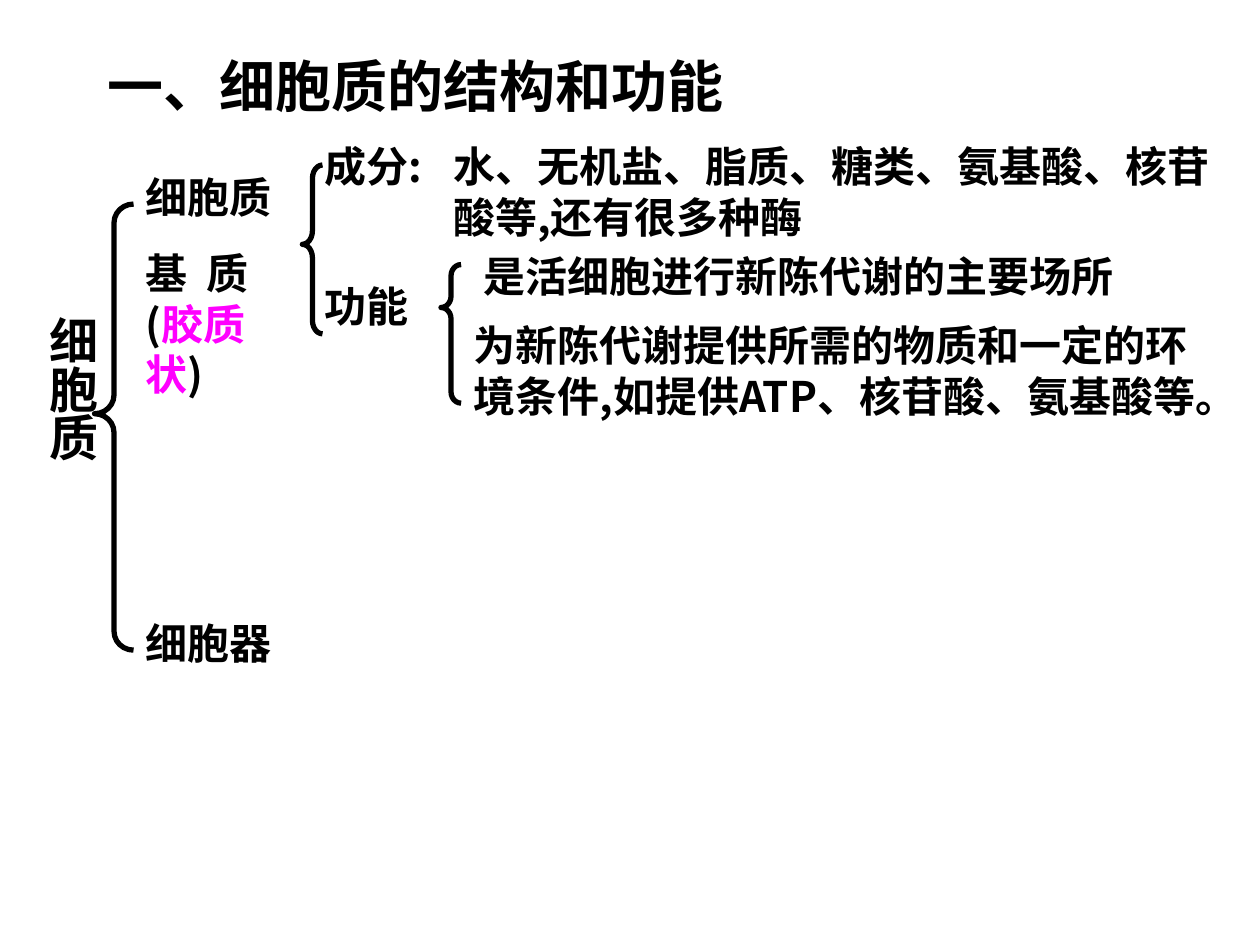
from lxml.etree import SubElement
from pptx import Presentation
from pptx.dml.color import RGBColor
from pptx.enum.shapes import MSO_SHAPE
from pptx.enum.text import MSO_ANCHOR, PP_ALIGN
from pptx.oxml.ns import qn
from pptx.util import Inches, Pt

COLORS = {"ink": "000000", "accent": "FF00FF"}
CJK = "Noto Sans CJK SC"


def add_run(paragraph, text, size=24, typeface=CJK, color="ink"):
    run = paragraph.add_run()
    run.text = text
    font_format = {"name": typeface, "size": Pt(size), "bold": True}
    for attribute, value in font_format.items():
        setattr(run.font, attribute, value)
    run.font.color.rgb = RGBColor.from_string(COLORS[color])
    SubElement(run.font._element, qn("a:ea"), typeface=typeface)
    return run


def set_frame(frame, inset_x=0.1, inset_y=0.05):
    frame_format = {
        "word_wrap": True,
        "vertical_anchor": MSO_ANCHOR.TOP,
        "margin_left": Inches(inset_x),
        "margin_right": Inches(inset_x),
        "margin_top": Inches(inset_y),
        "margin_bottom": Inches(inset_y),
    }
    for attribute, value in frame_format.items():
        setattr(frame, attribute, value)
    frame.paragraphs[0].alignment = PP_ALIGN.LEFT
    return frame.paragraphs[0]


prs = Presentation()
prs.slide_width, prs.slide_height = Inches(10), Inches(7.5)
slide = prs.slides.add_slide(prs.slide_layouts[5])

title = slide.shapes.title
title_place = {"left": 0.75, "top": 0.36, "width": 6.93, "height": 0.64}
for attribute, value in title_place.items():
    setattr(title, attribute, Inches(value))
add_run(set_frame(title.text_frame), "一、细胞质的结构和功能", 32)

labels = [
    ("功能", 2.48, 2.18, 1.1, 0.5),
    ("水、无机盐、脂质、糖类、氨基酸、核苷酸等,还有很多种酶", 3.5, 1.07, 6.5, 0.9),
    ("细胞器", 1.06, 4.85, 1.5, 0.5),
    ("成分:", 2.48, 1.07, 1.26, 0.5),
    ("是活细胞进行新陈代谢的主要场所", 3.74, 1.94, 5.83, 0.5),
    ("为新陈代谢提供所需的物质和一定的环境条件,如提供ATP、核苷酸、氨基酸等。",
     3.66, 2.49, 6.14, 1.3),
]
for text, *place in labels:
    label = slide.shapes.add_textbox(*map(Inches, place))
    add_run(set_frame(label.text_frame), text)

matrix = slide.shapes.add_textbox(Inches(1.06), Inches(1.31), Inches(1.42), Inches(1.91))
add_run(set_frame(matrix.text_frame), "细胞质")
matrix_detail = matrix.text_frame.add_paragraph()
matrix_detail.space_before = Pt(15)
add_run(matrix_detail, "基")
wide_space = add_run(matrix_detail, " ")
wide_space.font._element.set("spc", "540")
for text, color in [("质(", "ink"), ("胶质状", "accent"), (")", "ink")]:
    add_run(matrix_detail, text, color=color)

braces = [
    (0.75, 1.62, 0.31, 3.54, 0.48, 0.47),
    (2.4, 1.31, 0.16, 1.34, 0.67, 0.47),
    (3.5, 2.1, 0.16, 1.1, 0.56, 0.31),
]
for *place, curl, tip in braces:
    brace = slide.shapes.add_shape(MSO_SHAPE.LEFT_BRACE, *map(Inches, place))
    brace.adjustments[0] = curl
    brace.adjustments[1] = tip
    brace.shadow.inherit = False
    brace.fill.background()
    brace.line.color.rgb = RGBColor.from_string(COLORS["ink"])
    brace.line.width = Pt(3)

cytoplasm = slide.shapes.add_textbox(Inches(0.2), Inches(2.41), Inches(0.66), Inches(1.81))
add_run(set_frame(cytoplasm.text_frame, 0.05, 0.1), "细胞质", 28, "Karla")
cytoplasm.text_frame._txBody.bodyPr.set("vert", "eaVert")

prs.save("out.pptx")
